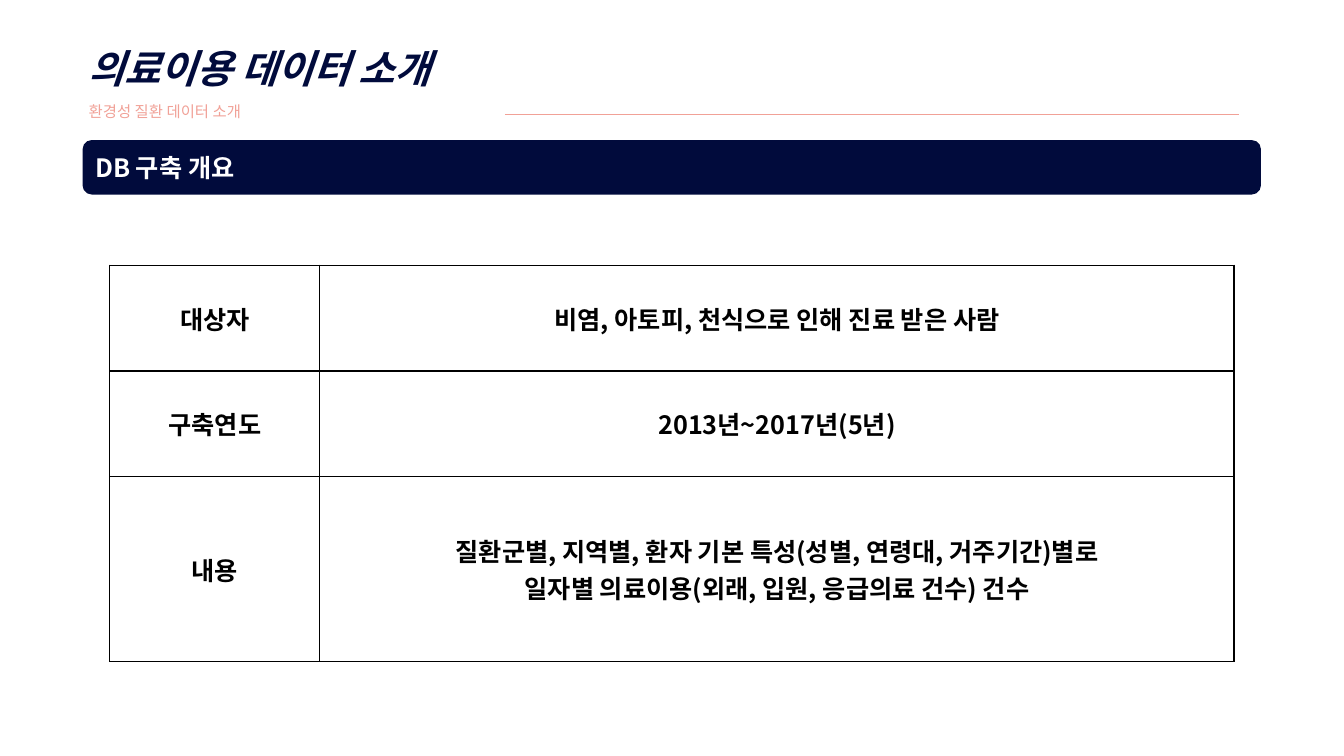
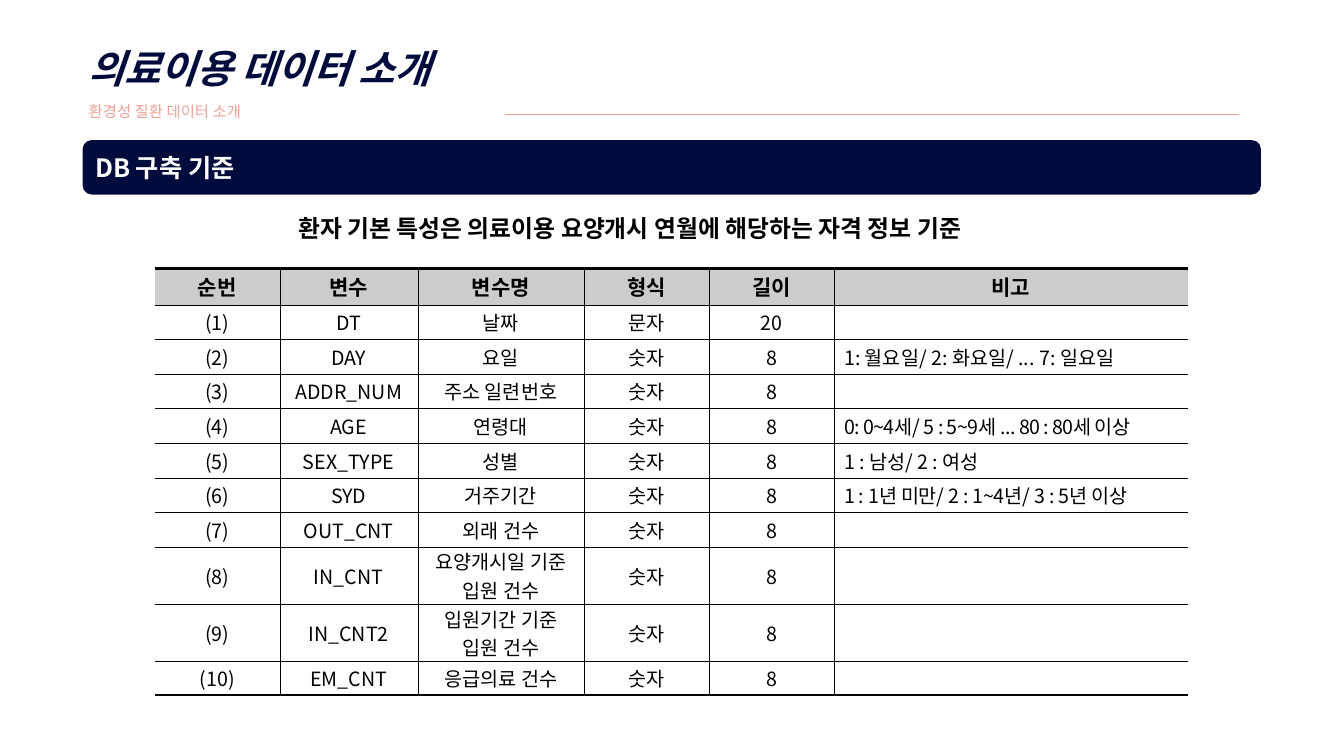
"""Build two slides introducing the medical-use database."""
import dataclasses

import lxml.etree
import pptx
import pptx.dml.color
import pptx.enum.shapes
import pptx.enum.text
import pptx.oxml.ns
import pptx.util

Pt = pptx.util.Pt
qn = pptx.oxml.ns.qn
ALIGN = pptx.enum.text.PP_ALIGN
MIDDLE = pptx.enum.text.MSO_ANCHOR.MIDDLE


@dataclasses.dataclass(frozen=True)
class Theme:
    """Colours, type sizes and line widths shared by the slides."""
    font: str = "Noto Sans CJK KR"
    navy: str = "010B3C"
    coral: str = "F1A197"
    white: str = "FFFFFF"
    black: str = "000000"
    grey: str = "CCCCCC"
    title: int = 28
    subtitle: int = 11
    heading: int = 18
    caption: int = 17
    column_head: int = 15
    body: int = 14
    hairline: float = 0.28
    rule: float = 0.5
    grid: float = 1
    heavy: float = 1.98


THEME = Theme()
TITLE_BOX = (56.2, 31.6, 430, 41)
SUBTITLE_BOX = (56.2, 73, 430, 17)
RULE_BOX = (360.7, 81.4, 524.2, 0)
BAND_BOX = (59, 100.1, 841.7, 38.9)
CAPTION_BOX = (206, 153, 548, 25)

OVERVIEW = (
    ("대상자", "비염, 아토피, 천식으로 인해 진료 받은 사람"),
    ("구축연도", "2013년~2017년(5년)"),
    ("내용", "질환군별, 지역별, 환자 기본 특성(성별, 연령대, 거주기간)별로\n"
           "일자별 의료이용(외래, 입원, 응급의료 건수) 건수"),
)
COLUMN_HEADS = ("순번", "변수", "변수명", "형식", "길이", "비고")
VARIABLES = (
    ("DT", "날짜", "문자", "20", ""),
    ("DAY", "요일", "숫자", "8", "1: 월요일/ 2: 화요일/ ... 7: 일요일"),
    ("ADDR_NUM", "주소 일련번호", "숫자", "8", ""),
    ("AGE", "연령대", "숫자", "8", "0: 0~4세/ 5 : 5~9세 ... 80 : 80세 이상"),
    ("SEX_TYPE", "성별", "숫자", "8", "1 : 남성/ 2 : 여성"),
    ("SYD", "거주기간", "숫자", "8", "1 : 1년 미만/ 2 : 1~4년/ 3 : 5년 이상"),
    ("OUT_CNT", "외래 건수", "숫자", "8", ""),
    ("IN_CNT", "요양개시일 기준\n입원 건수", "숫자", "8", ""),
    ("IN_CNT2", "입원기간 기준\n입원 건수", "숫자", "8", ""),
    ("EM_CNT", "응급의료 건수", "숫자", "8", ""),
)
REMARK_SPACING = {"AGE": -40, "SYD": -20}


def rgb(value):
    """Return a colour object for a hex value."""
    return pptx.dml.color.RGBColor.from_string(value)


def points(box):
    """Convert a box of numbers to point lengths."""
    return [Pt(value) for value in box]


def write(frame, text, size, color, bold=False, italic=False,
          align=ALIGN.LEFT, spacing=0):
    """Fill a text frame and format all of its runs."""
    frame.text = text
    for paragraph in frame.paragraphs:
        paragraph.alignment = align
        for run in paragraph.runs:
            font = run.font
            font.name, font.size = THEME.font, Pt(size)
            font.bold, font.italic = bold, italic
            font.color.rgb = rgb(color)
            properties = run._r.get_or_add_rPr()
            east_asian = lxml.etree.SubElement(properties, qn("a:ea"))
            east_asian.set("typeface", THEME.font)
            if spacing:
                properties.set("spc", str(spacing))


def set_flat_frame(frame):
    """Anchor a frame at the top without vertical insets."""
    frame.word_wrap = True
    frame.auto_size = pptx.enum.text.MSO_AUTO_SIZE.NONE
    frame.vertical_anchor = pptx.enum.text.MSO_ANCHOR.TOP
    frame.margin_top = frame.margin_bottom = 0


def add_label(slide, box, text, size, color, bold=False):
    """Add a line of text in a box."""
    frame = slide.shapes.add_textbox(*points(box)).text_frame
    set_flat_frame(frame)
    write(frame, text, size, color, bold)


def add_header(slide, heading):
    """Place the title, subtitle, rule and heading band."""
    title = slide.shapes.title
    title.left, title.top, title.width, title.height = points(TITLE_BOX)
    set_flat_frame(title.text_frame)
    write(title.text_frame, "의료이용 데이터 소개", THEME.title, THEME.navy,
          bold=True, italic=True)
    add_label(slide, SUBTITLE_BOX, "환경성 질환 데이터 소개",
              THEME.subtitle, THEME.coral)

    left, top, width, height = points(RULE_BOX)
    rule = slide.shapes.add_connector(
        pptx.enum.shapes.MSO_CONNECTOR.STRAIGHT, left, top, left + width, top + height)
    rule.line.color.rgb, rule.line.width = rgb(THEME.coral), Pt(THEME.rule)
    lxml.etree.SubElement(rule._element.spPr, qn("a:effectLst"))

    band = slide.shapes.add_shape(
        pptx.enum.shapes.MSO_SHAPE.ROUNDED_RECTANGLE, *points(BAND_BOX))
    band.shadow.inherit = False
    band.fill.solid()
    band.fill.fore_color.rgb = rgb(THEME.navy)
    band.line.fill.background()
    band.text_frame.vertical_anchor = MIDDLE
    write(band.text_frame, heading, THEME.heading, THEME.white, bold=True)


def set_borders(cell, **widths):
    """Draw the L, R, T and B borders of a cell, leaving out zero widths."""
    properties = cell._tc.get_or_add_tcPr()
    for side in "LRTB":
        border = lxml.etree.SubElement(properties, qn(f"a:ln{side}"))
        if not widths[side]:
            lxml.etree.SubElement(border, qn("a:noFill"))
            continue
        border.set("w", str(int(Pt(widths[side]))))
        fill = lxml.etree.SubElement(border, qn("a:solidFill"))
        lxml.etree.SubElement(fill, qn("a:srgbClr")).set("val", THEME.black)


def add_grid(slide, left, top, columns, rows):
    """Add a plain table with the given column widths and row heights."""
    box = points((left, top, sum(columns), sum(rows)))
    table = slide.shapes.add_table(len(rows), len(columns), *box).table
    table.first_row = table.horz_banding = False
    for column, width in zip(table.columns, columns):
        column.width = Pt(width)
    for row, height in zip(table.rows, rows):
        row.height = Pt(height)
    return table


def add_overview_table(slide, left, top):
    """Place the overview of subjects, years and content."""
    table = add_grid(slide, left, top, (150, 653), (75.6, 75.6, 131.8))
    for row, texts in enumerate(OVERVIEW):
        for column, text in enumerate(texts):
            cell = table.cell(row, column)
            set_borders(cell, **dict.fromkeys("LRTB", THEME.grid))
            cell.fill.background()
            cell.vertical_anchor = MIDDLE
            write(cell.text_frame, text, THEME.heading, THEME.black,
                  bold=True, align=ALIGN.CENTER)


def add_variable_table(slide, left, top):
    """Place the numbered list of database variables."""
    records = [COLUMN_HEADS]
    records += [(f"({number})", *record) for number, record in enumerate(VARIABLES, 1)]
    heights = [26] + [24.7] * 7 + [41] * 2 + [24]
    table = add_grid(slide, left, top, (89.3, 98.6, 118.8, 89.3, 89.3, 252.7), heights)
    last_row, last_column = len(records) - 1, len(COLUMN_HEADS) - 1
    for row, record in enumerate(records):
        is_head = row == 0
        for column, text in enumerate(record):
            is_remark = column == last_column and not is_head
            cell = table.cell(row, column)
            set_borders(cell,
                        L=THEME.hairline if column else 0,
                        R=THEME.hairline if column < last_column else 0,
                        T=THEME.heavy if is_head else THEME.hairline,
                        B=THEME.heavy if row == last_row else THEME.hairline)
            if is_head:
                cell.fill.solid()
                cell.fill.fore_color.rgb = rgb(THEME.grey)
            else:
                cell.fill.background()
            cell.vertical_anchor = MIDDLE
            cell.margin_top = cell.margin_bottom = 0
            write(cell.text_frame, text,
                  THEME.column_head if is_head else THEME.body, THEME.black,
                  bold=is_head,
                  align=ALIGN.JUSTIFY if is_remark else ALIGN.CENTER,
                  spacing=REMARK_SPACING.get(record[1], 0) if is_remark else 0)


def add_overview_slide(slide):
    """Build the database overview slide."""
    add_header(slide, "DB 구축 개요")
    add_overview_table(slide, 78.5, 189.4)


def add_criteria_slide(slide):
    """Build the database criteria slide."""
    add_header(slide, "DB 구축 기준")
    add_variable_table(slide, 110.5, 191.8)
    add_label(slide, CAPTION_BOX,
              "환자 기본 특성은 의료이용 요양개시 연월에 해당하는 자격 정보 기준",
              THEME.caption, THEME.black, bold=True)


def main():
    """Build and save the presentation."""
    presentation = pptx.Presentation()
    presentation.slide_width, presentation.slide_height = Pt(960), Pt(540)
    title_only = presentation.slide_layouts[5]
    for build in (add_overview_slide, add_criteria_slide):
        build(presentation.slides.add_slide(title_only))
    presentation.save("out.pptx")


if __name__ == "__main__":
    main()
